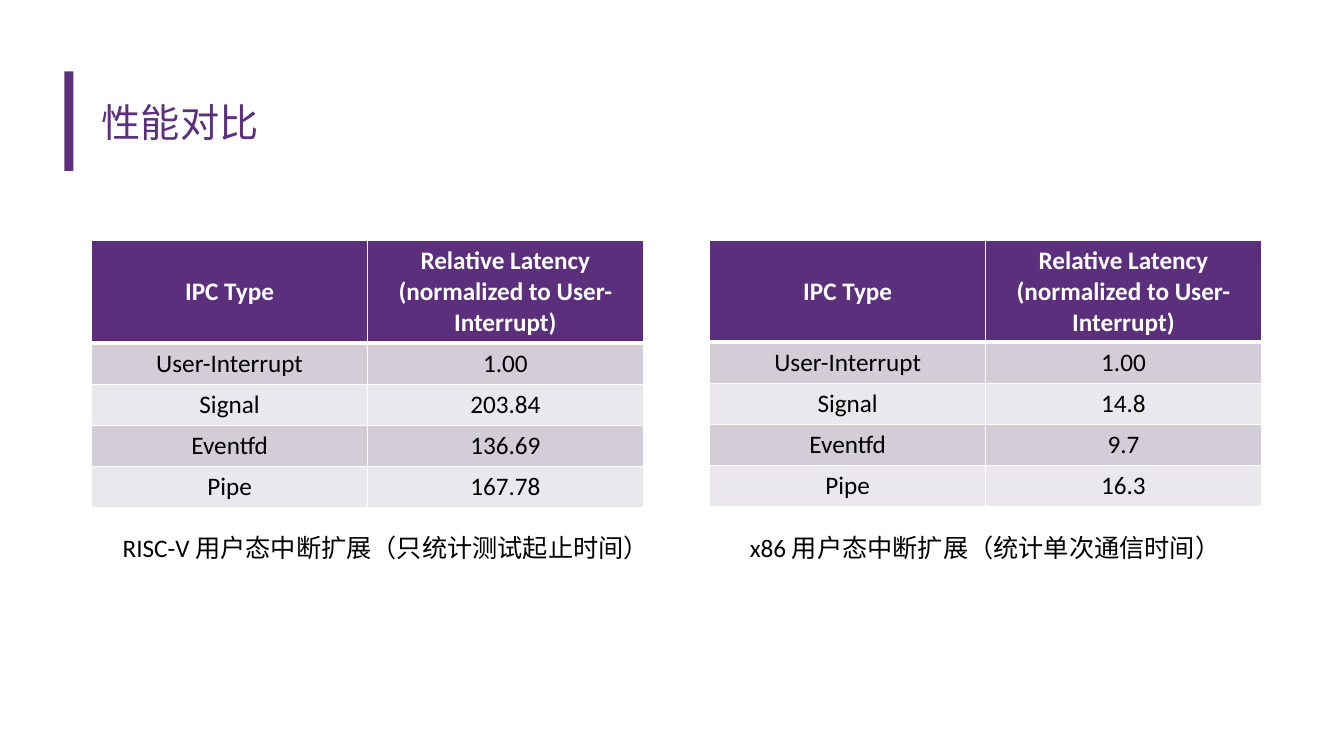
from dataclasses import dataclass

from lxml import etree
from pptx import Presentation
from pptx.dml.color import RGBColor
from pptx.enum.shapes import MSO_SHAPE
from pptx.enum.text import MSO_ANCHOR, PP_ALIGN
from pptx.oxml.ns import qn
from pptx.slide import Slide
from pptx.table import _Cell
from pptx.text.text import _Paragraph
from pptx.util import Pt

RECTANGLE = MSO_SHAPE.RECTANGLE
MIDDLE = MSO_ANCHOR.MIDDLE
LEFT, CENTER = PP_ALIGN.LEFT, PP_ALIGN.CENTER

FONT = "Calibri"
PURPLE, HEADER_PURPLE = "5C307D", "5B2F7C"
BANDS = ("D2CDD7", "EAE8EC")
WHITE, BLACK = "FFFFFF", "000000"

TABLE_TOP, COLUMN_WIDTH = 172, 197
HEADER_HEIGHT, ROW_HEIGHT = 72.5, 29.3
CAPTION_TOP, CAPTION_HEIGHT = 376.5, 29

HEADERS = ("IPC Type", "Relative Latency (normalized to User-Interrupt)")
IPC_TYPES = ("User-Interrupt", "Signal", "Eventfd", "Pipe")


@dataclass(frozen=True)
class Comparison:
    table_left: float
    latencies: tuple[str, ...]
    caption: str
    caption_left: float
    caption_width: float


COMPARISONS = (
    Comparison(65.5, ("1.00", "203.84", "136.69", "167.78"),
               "RISC-V 用户态中断扩展（只统计测试起止时间）", 80.5, 400),
    Comparison(507, ("1.00", "14.8", "9.7", "16.3"),
               "x86 用户态中断扩展（统计单次通信时间）", 528.5, 372),
)


def color(value: str) -> RGBColor:
    return RGBColor.from_string(value)


def add_text(paragraph: _Paragraph, text: str, size: float, text_color: str,
             bold: bool = False, alignment: PP_ALIGN = LEFT) -> None:
    paragraph.alignment = alignment
    run = paragraph.add_run()
    run.text = text
    run.font.name = FONT
    run.font.size = Pt(size)
    run.font.bold = bold
    run.font.color.rgb = color(text_color)


def set_borders(cell: _Cell, top: float, bottom: float) -> None:
    properties = cell._tc.get_or_add_tcPr()
    widths = {"a:lnL": 1, "a:lnR": 1, "a:lnT": top, "a:lnB": bottom}
    for index, (tag, width) in enumerate(widths.items()):
        line = etree.Element(qn(tag), w=str(Pt(width)))
        fill = etree.SubElement(line, qn("a:solidFill"))
        etree.SubElement(fill, qn("a:srgbClr"), val=WHITE)
        properties.insert(index, line)


def add_latency_table(slide: Slide, comparison: Comparison) -> None:
    rows = [HEADERS, *zip(IPC_TYPES, comparison.latencies)]
    height = HEADER_HEIGHT + ROW_HEIGHT * len(IPC_TYPES)
    table = slide.shapes.add_table(
        len(rows), len(HEADERS), Pt(comparison.table_left), Pt(TABLE_TOP),
        Pt(COLUMN_WIDTH * len(HEADERS)), Pt(height)).table
    for column in table.columns:
        column.width = Pt(COLUMN_WIDTH)
    for row_index, values in enumerate(rows):
        is_header = row_index == 0
        table.rows[row_index].height = Pt(HEADER_HEIGHT if is_header else ROW_HEIGHT)
        fill = HEADER_PURPLE if is_header else BANDS[(row_index - 1) % 2]
        for column_index, value in enumerate(values):
            cell = table.cell(row_index, column_index)
            cell.vertical_anchor = MIDDLE
            cell.fill.solid()
            cell.fill.fore_color.rgb = color(fill)
            set_borders(cell, top=3 if row_index == 1 else 1,
                        bottom=3 if is_header else 1)
            add_text(cell.text_frame.paragraphs[0], value, 18,
                     WHITE if is_header else BLACK, is_header, CENTER)


def add_caption(slide: Slide, comparison: Comparison) -> None:
    box = slide.shapes.add_textbox(
        Pt(comparison.caption_left), Pt(CAPTION_TOP),
        Pt(comparison.caption_width), Pt(CAPTION_HEIGHT))
    box.text_frame.word_wrap = True
    add_text(box.text_frame.paragraphs[0], comparison.caption, 18, BLACK)


def add_title(slide: Slide) -> None:
    bar = slide.shapes.add_shape(RECTANGLE, Pt(46), Pt(51), Pt(6.5), Pt(71))
    bar.shadow.inherit = False
    bar.fill.solid()
    bar.fill.fore_color.rgb = color(PURPLE)
    bar.line.fill.background()

    title = slide.shapes.title
    title.left, title.top = Pt(65.5), Pt(47)
    title.width, title.height = Pt(829), Pt(80)
    title.text_frame.vertical_anchor = MIDDLE
    add_text(title.text_frame.paragraphs[0], "性能对比", 28, PURPLE)


def main() -> None:
    presentation = Presentation()
    presentation.slide_width, presentation.slide_height = Pt(960), Pt(540)
    title_only = presentation.slide_layouts[5]
    slide = presentation.slides.add_slide(title_only)

    # Title with accent bar
    add_title(slide)

    # Latency tables with captions
    for comparison in COMPARISONS:
        add_latency_table(slide, comparison)
        add_caption(slide, comparison)

    presentation.save("out.pptx")


if __name__ == "__main__":
    main()
